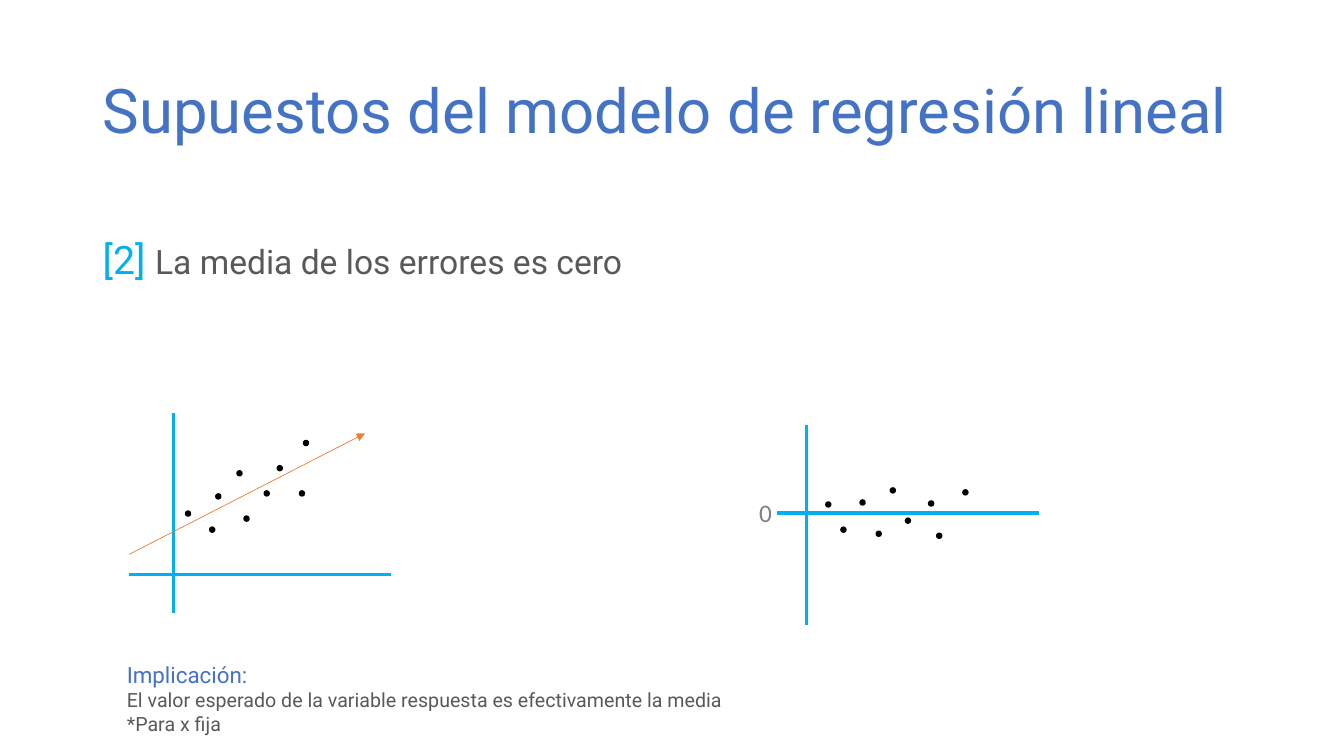
from lxml.etree import SubElement
from pptx import Presentation
from pptx.dml.color import RGBColor
from pptx.enum.shapes import MSO_CONNECTOR, MSO_SHAPE
from pptx.enum.text import MSO_ANCHOR
from pptx.oxml.ns import qn
from pptx.util import Inches, Pt

BLUE = RGBColor(0x44, 0x72, 0xC4)
CYAN = RGBColor(0x00, 0xB0, 0xF0)
ORANGE = RGBColor(0xED, 0x7D, 0x31)
DARK_GRAY = RGBColor(0x59, 0x59, 0x59)
GRAY = RGBColor(0x80, 0x80, 0x80)
BLACK = RGBColor(0, 0, 0)
DOT = 0.05

prs = Presentation()
prs.slide_width, prs.slide_height = Inches(13.33), Inches(7.5)
s = prs.slides.add_slide(prs.slide_layouts[6])


def add_text(paragraphs, box, font="Roboto", anchor=MSO_ANCHOR.TOP, spacing=1.0, wrap=True):
    """Add a text box; each paragraph is a list of (text, size, colour) runs."""
    tf = s.shapes.add_textbox(*map(Inches, box)).text_frame
    tf.word_wrap = wrap
    tf.vertical_anchor = anchor
    for i, runs in enumerate(paragraphs):
        p = tf.paragraphs[0] if i == 0 else tf.add_paragraph()
        p.line_spacing = spacing
        for text, size, color in runs:
            r = p.add_run()
            r.text = text
            r.font.name = font
            r.font.size = Pt(size)
            r.font.color.rgb = color


def add_line(x1, y1, x2, y2, color=CYAN, width=2.25, arrow=False):
    line = s.shapes.add_connector(MSO_CONNECTOR.STRAIGHT, *map(Inches, (x1, y1, x2, y2)))
    line.line.color.rgb = color
    line.line.width = Pt(width)
    if arrow:
        SubElement(line.line._get_or_add_ln(), qn("a:tailEnd"), type="triangle")
    SubElement(line._element.spPr, qn("a:effectLst"))


add_text([[("Supuestos del modelo de regresión lineal", 44, BLUE)]],
         (0.92, 0.4, 11.5, 1.45), anchor=MSO_ANCHOR.MIDDLE, spacing=0.9)
add_text([[("[2] ", 28, CYAN), ("La media de los errores es cero", 24, DARK_GRAY)]],
         (0.92, 2.34, 11.5, 0.6), spacing=0.9)

# Axes of both plots and the regression line
add_line(1.72, 4.1, 1.72, 6.08)
add_line(1.28, 5.7, 3.88, 5.7)
add_line(1.28, 5.5, 3.62, 4.3, color=ORANGE, width=0.5, arrow=True)
add_line(8, 4.22, 8, 6.2)
add_line(7.71, 5.09, 10.3, 5.09)

# Observations around the regression line, then their errors around zero
observations = [(1.84, 5.07), (2.08, 5.23), (2.14, 4.9), (2.42, 5.12), (2.35, 4.67),
                (2.62, 4.87), (2.75, 4.62), (2.97, 4.87), (3.01, 4.37)]
errors = [(8.19, 4.98), (8.34, 5.23), (8.53, 4.96), (8.69, 5.27), (8.83, 4.84),
          (8.98, 5.14), (9.21, 4.97), (9.29, 5.29), (9.55, 4.86)]
for points in (observations, errors):
    group = s.shapes.add_group_shape()
    for x, y in points:
        sp = group.shapes.add_shape(MSO_SHAPE.OVAL, Inches(x), Inches(y), Inches(DOT), Inches(DOT))
        sp.shadow.inherit = False
        sp.fill.solid()
        sp.fill.fore_color.rgb = BLACK
        sp.line.color.rgb = BLACK
        sp.line.width = Pt(1)

add_text([[("0", 18, GRAY)]], (7.43, 4.88, 0.33, 0.4), font="Calibri", wrap=False)
add_text([[("Implicación:", 16, BLUE)],
          [("El valor esperado de la variable respuesta es efectivamente la media", 14, DARK_GRAY)],
          [("*Para x fija", 14, DARK_GRAY)]],
         (1.16, 6.51, 6.44, 0.84))

prs.save("out.pptx")
